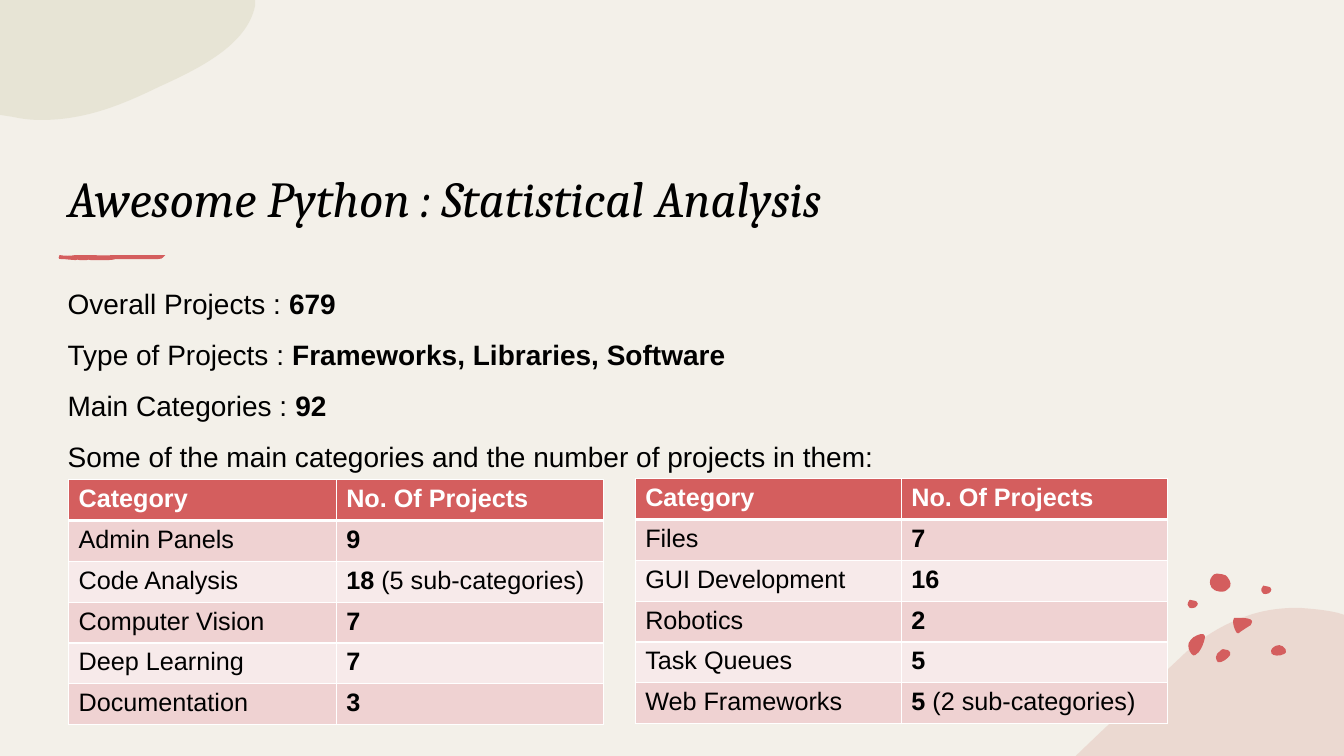
from lxml import etree
from pptx import Presentation
from pptx.dml.color import RGBColor
from pptx.enum import text
from pptx.oxml import ns
from pptx.util import Inches, Pt

COLORS = {"bg": "F3F0E9", "red": "D45E5E", "pink": "E5C4BA", "olive": "DCD9C3",
          "black": "000000", "white": "FFFFFF", "odd": "EFD2D2", "even": "F7EAEA"}

TITLE = "Awesome Python : Statistical Analysis"
FACTS = [("Overall Projects : ", "679"),
         ("Type of Projects : ", "Frameworks, Libraries, Software"),
         ("Main Categories : ", "92"),
         ("Some of the main categories and the number of projects in them:", "")]
HEADER = ("Category", "No. Of Projects")
# left, top, width, rows of (category, count, note)
TABLES = [
    (0.68, 4.76, 5.31, [("Admin Panels", "9", ""),
                        ("Code Analysis", "18", " (5 sub-categories)"),
                        ("Computer Vision", "7", ""),
                        ("Deep Learning", "7", ""),
                        ("Documentation", "3", "")]),
    (6.3, 4.75, 5.28, [("Files", "7", ""),
                       ("GUI Development", "16", ""),
                       ("Robotics", "2", ""),
                       ("Task Queues", "5", ""),
                       ("Web Frameworks", "5", " (2 sub-categories)")]),
]
TABLE_HEIGHT = 2.43

# Outlines: a start point, then lines (x, y) or cubic curves (x1, y1, x2, y2, x, y)
HILL = [(12.88, 6.03), (13.01, 6.04, 13.14, 6.05, 13.27, 6.08), (13.33, 6.1),
        (13.33, 7.5), (10.67, 7.5), (10.68, 7.49),
        (11.02, 7.16, 11.37, 6.84, 11.69, 6.54),
        (11.91, 6.32, 12.14, 6.19, 12.37, 6.11), (12.54, 6.05, 12.71, 6.03, 12.88, 6.03)]
CLOUD = [(0, 0), (2.53, 0), (2.53, 0.06), (2.45, 0.44, 2, 0.67, 1.58, 0.86),
         (1.23, 1.03, 0.86, 1.19, 0.41, 1.19), (0.31, 1.19, 0.22, 1.18, 0.13, 1.16),
         (0, 1.14), (0, 0)]
DASH = [(0.86, 2.58), (0.87, 2.57, 0.89, 2.58, 0.9, 2.58),
        (0.94, 2.58, 1.05, 2.58, 1.07, 2.58), (1.09, 2.58, 1.12, 2.58, 1.15, 2.57),
        (1.21, 2.57), (1.25, 2.57, 1.31, 2.57, 1.33, 2.57),
        (1.35, 2.57, 1.48, 2.57, 1.49, 2.57), (1.57, 2.57),
        (1.63, 2.57, 1.61, 2.54, 1.64, 2.53), (1.57, 2.53), (1.33, 2.53),
        (1.27, 2.53, 1.17, 2.53, 1.11, 2.53), (1.06, 2.54, 0.94, 2.53, 0.88, 2.53),
        (0.75, 2.53), (0.7, 2.54, 0.64, 2.54, 0.59, 2.53),
        (0.58, 2.54, 0.57, 2.58, 0.61, 2.57), (0.65, 2.57, 0.71, 2.58, 0.75, 2.58),
        (0.76, 2.58, 0.78, 2.57, 0.79, 2.58), (0.86, 2.58)]
PEBBLES = [
    [(12.13, 6.44), (12.15, 6.44, 12.16, 6.44, 12.18, 6.45),
     (12.2, 6.46, 12.21, 6.48, 12.2, 6.5), (12.18, 6.53, 12.12, 6.58, 12.08, 6.57),
     (12.07, 6.56, 12.06, 6.54, 12.06, 6.52), (12.06, 6.5, 12.08, 6.47, 12.1, 6.46),
     (12.11, 6.45, 12.12, 6.44, 12.13, 6.44)],
    [(11.91, 6.29), (11.93, 6.29, 11.95, 6.29, 11.95, 6.31),
     (11.95, 6.32, 11.95, 6.32, 11.95, 6.33),
     (11.94, 6.38, 11.92, 6.43, 11.89, 6.47), (11.87, 6.49, 11.84, 6.52, 11.82, 6.49),
     (11.79, 6.46, 11.78, 6.41, 11.79, 6.38), (11.8, 6.35, 11.82, 6.34, 11.84, 6.32),
     (11.85, 6.32, 11.88, 6.29, 11.91, 6.29)],
    [(12.69, 6.4), (12.71, 6.4, 12.74, 6.42, 12.75, 6.44),
     (12.76, 6.46, 12.76, 6.48, 12.73, 6.49), (12.7, 6.51, 12.62, 6.51, 12.61, 6.48),
     (12.6, 6.46, 12.61, 6.44, 12.62, 6.43), (12.64, 6.41, 12.66, 6.4, 12.69, 6.4)],
    [(12.01, 5.81), (12, 5.81, 11.99, 5.75, 12.02, 5.72),
     (12.04, 5.7, 12.04, 5.69, 12.07, 5.69), (12.1, 5.69, 12.14, 5.7, 12.16, 5.71),
     (12.18, 5.73, 12.22, 5.78, 12.2, 5.82), (12.17, 5.85, 12.16, 5.87, 12.12, 5.87),
     (12.09, 5.87, 12.04, 5.86, 12.03, 5.84), (12.01, 5.83, 12.01, 5.82, 12.01, 5.81)],
    [(12.28, 6.13), (12.34, 6.13, 12.45, 6.13, 12.41, 6.19),
     (12.41, 6.2, 12.4, 6.21, 12.39, 6.21), (12.36, 6.23, 12.33, 6.25, 12.3, 6.27),
     (12.29, 6.28, 12.28, 6.29, 12.27, 6.28), (12.27, 6.28, 12.26, 6.27, 12.26, 6.27),
     (12.24, 6.23, 12.23, 6.2, 12.23, 6.16), (12.23, 6.15, 12.23, 6.14, 12.24, 6.13),
     (12.26, 6.13, 12.27, 6.13, 12.28, 6.13)],
]
DOT = [(0, 0.05), (0, 0.05, 0, 0.01, 0.02, 0), (0.04, 0, 0.05, 0, 0.07, 0.01),
       (0.08, 0.01, 0.1, 0.02, 0.1, 0.04), (0.1, 0.05, 0.09, 0.07, 0.08, 0.07),
       (0.08, 0.07, 0.08, 0.08, 0.06, 0.08), (0.05, 0.08, 0.03, 0.09, 0.02, 0.08),
       (0.01, 0.06, 0, 0.06, 0, 0.05)]
DOT_PLACES = [(12.51, 5.81), (11.78, 5.95)]


def rgb(name):
    return RGBColor.from_string(COLORS[name])


def bend(sp, segments):
    """Turn the straight segments that have control points into cubic curves."""
    lines = sp._element.spPr.findall(".//" + ns.qn("a:lnTo"))
    for line, seg in zip(lines, segments):
        if len(seg) == 6:
            line.tag = ns.qn("a:cubicBezTo")
            for i, (x, y) in enumerate((seg[:2], seg[2:4])):
                pt = etree.Element(ns.qn("a:pt"), x=str(x - sp.left), y=str(y - sp.top))
                line.insert(i, pt)


def add_blob(slide, outline, color, alpha=None, dx=0, dy=0):
    outline = [tuple(Inches(v + (dy if i % 2 else dx)) for i, v in enumerate(seg))
               for seg in outline]
    builder = slide.shapes.build_freeform(*outline[0])
    builder.add_line_segments([seg[-2:] for seg in outline[1:]], close=True)
    sp = builder.convert_to_shape()
    bend(sp, outline[1:])
    sp.shadow.inherit = False
    sp.fill.solid()
    sp.fill.fore_color.rgb = rgb(color)
    sp.line.fill.background()
    if alpha:
        clr = sp._element.spPr.find(".//" + ns.qn("a:srgbClr"))
        etree.SubElement(clr, ns.qn("a:alpha"), val=str(alpha * 1000))


def add_run(p, words, color="black", **font):
    r = p.add_run()
    r.text = words
    r.font.color.rgb = rgb(color)
    for name, value in {"name": "Arial", "bold": False, **font}.items():
        setattr(r.font, name, value)


def place(sp, left, top, width, height, anchor):
    """Position a placeholder in front of the decoration."""
    sp._element.getparent().append(sp._element)
    sp.left, sp.top, sp.width, sp.height = map(Inches, (left, top, width, height))
    tf = sp.text_frame
    for name, value in {"word_wrap": True, "auto_size": text.MSO_AUTO_SIZE.NONE,
                        "vertical_anchor": anchor}.items():
        setattr(tf, name, value)
    return tf


def format_cell(cell, fill, widths):
    """Draw white borders, widths in points by side, then fill the cell."""
    tcPr = cell._tc.get_or_add_tcPr()
    for side in "LRTB":
        ln = etree.SubElement(tcPr, ns.qn("a:ln" + side), w=str(Pt(widths.get(side, 1))))
        solid = etree.SubElement(ln, ns.qn("a:solidFill"))
        etree.SubElement(solid, ns.qn("a:srgbClr"), val=COLORS["white"])
    cell.fill.solid()
    cell.fill.fore_color.rgb = rgb(fill)


def add_category_table(slide, left, top, width, rows):
    box = map(Inches, (left, top, width, TABLE_HEIGHT))
    table = slide.shapes.add_table(len(rows) + 1, 2, *box).table
    for col, words in enumerate(HEADER):
        cell = table.cell(0, col)
        format_cell(cell, "red", {"B": 3})
        add_run(cell.text_frame.paragraphs[0], words, "white", size=Pt(18), bold=True)
    for i, (category, number, note) in enumerate(rows, 1):
        for col in (0, 1):
            format_cell(table.cell(i, col), "odd" if i % 2 else "even",
                        {"T": 3} if i == 1 else {})
        add_run(table.cell(i, 0).text_frame.paragraphs[0], category, size=Pt(18))
        p = table.cell(i, 1).text_frame.paragraphs[0]
        add_run(p, number, size=Pt(18), bold=True)
        if note:
            add_run(p, note, size=Pt(18))


def main():
    prs = Presentation()
    prs.slide_width, prs.slide_height = Inches(13.33), Inches(7.5)
    slide = prs.slides.add_slide(prs.slide_layouts[1])
    slide.background.fill.solid()
    slide.background.fill.fore_color.rgb = rgb("bg")
    title, body = slide.placeholders

    add_blob(slide, HILL, "pink", 50)
    add_blob(slide, CLOUD, "olive", 50)
    for outline in PEBBLES + [DASH]:
        add_blob(slide, outline, "red")
    for x, y in DOT_PLACES:
        add_blob(slide, DOT, "red", dx=x, dy=y)

    tf = place(title, 0.57, 0.86, 11.02, 1.45, text.MSO_ANCHOR.BOTTOM)
    p = tf.paragraphs[0]
    p.alignment = text.PP_ALIGN.LEFT
    add_run(p, TITLE, name="Cambria", size=Pt(36), italic=True)

    tf = place(body, 0.57, 2.76, 11.02, 3.88, text.MSO_ANCHOR.TOP)
    for i, (label, value) in enumerate(FACTS):
        p = tf.add_paragraph() if i else tf.paragraphs[0]
        p.line_spacing, p.space_before = 1.1, Pt(10)
        pPr = p._p.get_or_add_pPr()
        pPr.set("marL", "0")
        pPr.set("indent", "0")
        etree.SubElement(pPr, ns.qn("a:buNone"))
        add_run(p, label, size=Pt(20))
        if value:
            add_run(p, value, size=Pt(20), bold=True)

    for layout in TABLES:
        add_category_table(slide, *layout)
    prs.save("out.pptx")


if __name__ == "__main__":
    main()
